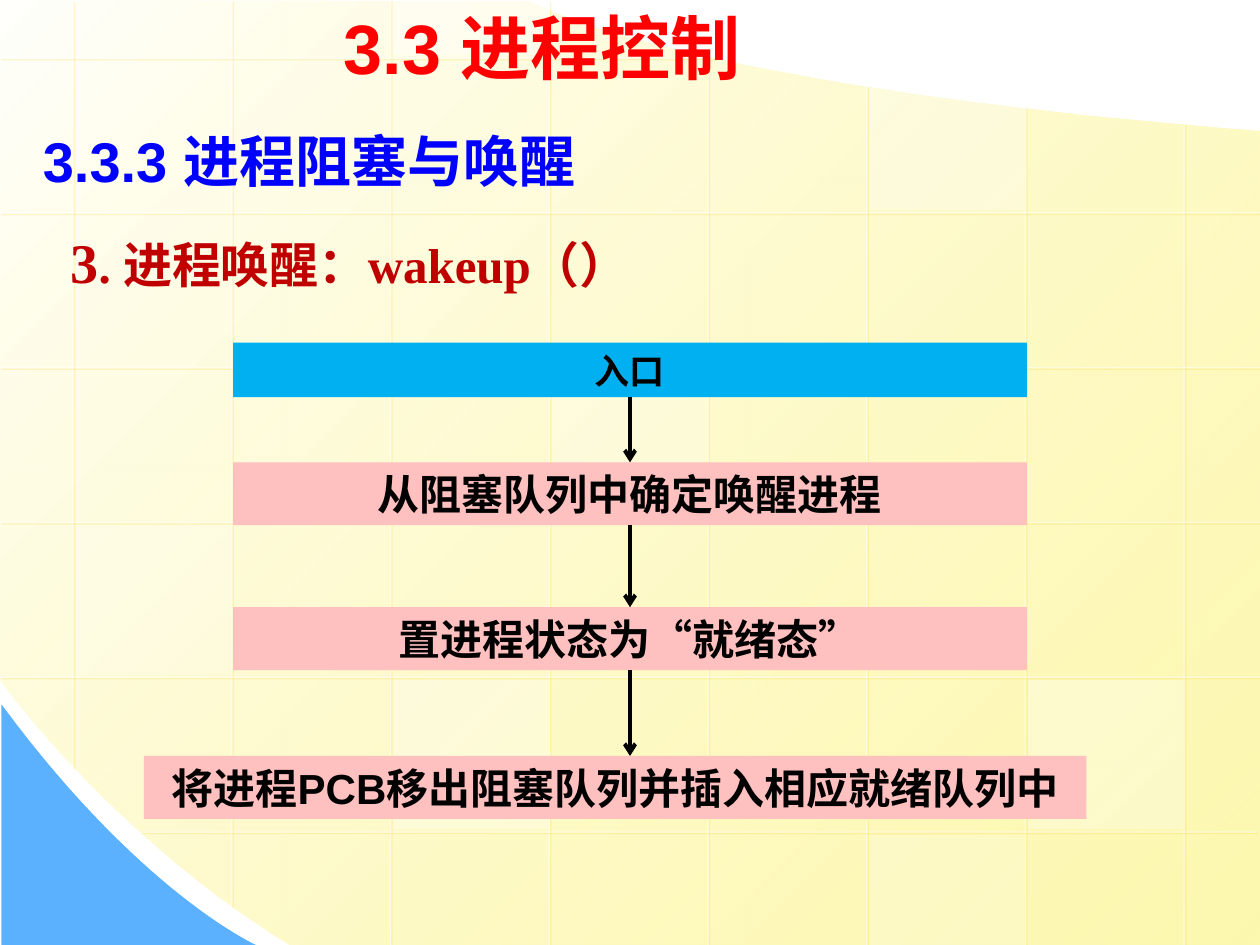
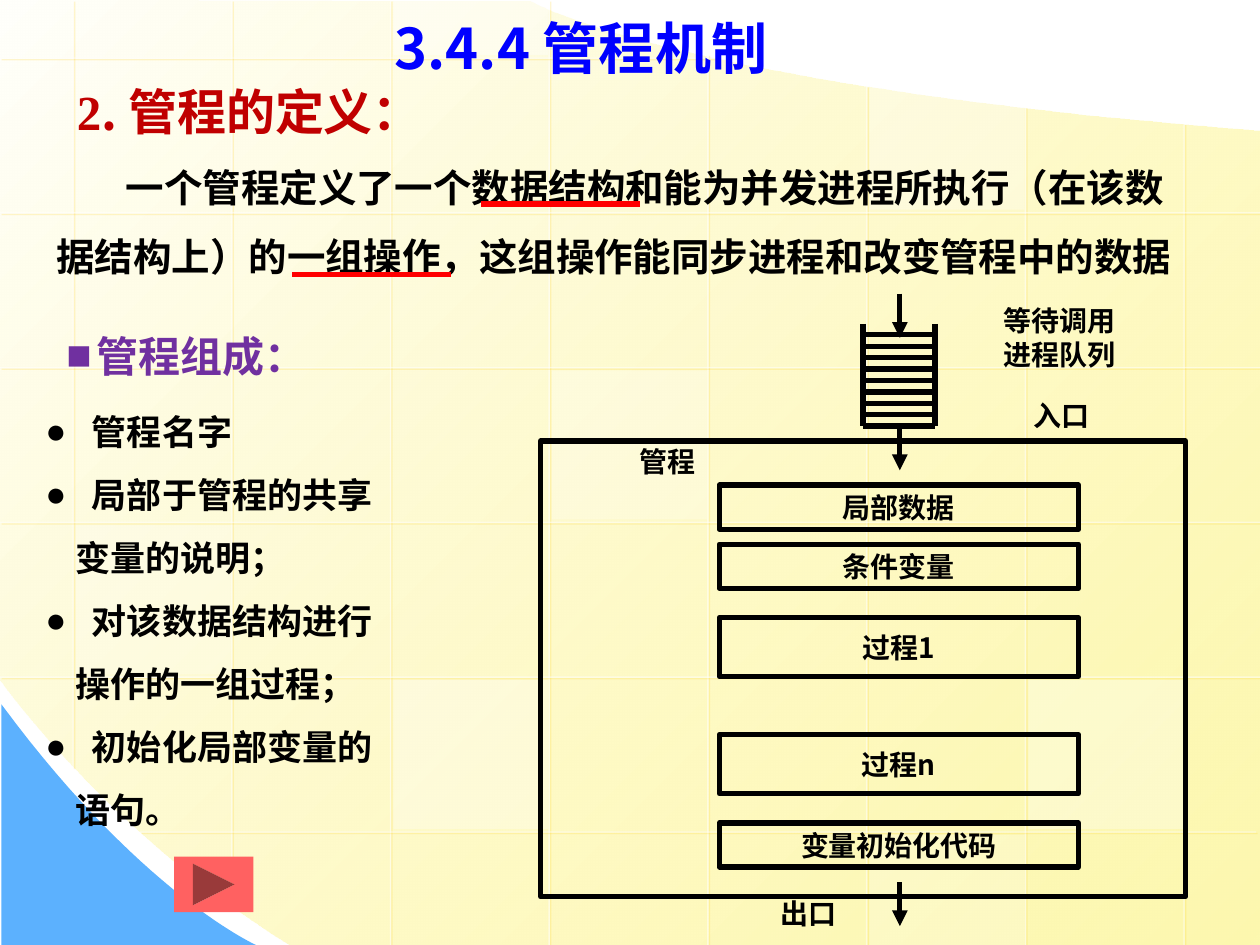
import pptx
import pptx.dml.color
import pptx.enum.shapes
import pptx.enum.text
import pptx.oxml.ns
import pptx.util
from lxml import etree

Cm, Pt = pptx.util.Cm, pptx.util.Pt
RGBColor = pptx.dml.color.RGBColor
SHAPE = pptx.enum.shapes.MSO_SHAPE
STRAIGHT = pptx.enum.shapes.MSO_CONNECTOR.STRAIGHT
ALIGN = pptx.enum.text.PP_ALIGN
ANCHOR = pptx.enum.text.MSO_ANCHOR
qn = pptx.oxml.ns.qn

WHITE = RGBColor(0xFF, 0xFF, 0xFF)
BLACK = RGBColor(0, 0, 0)
RED = RGBColor(0xFF, 0, 0)
BLUE = RGBColor(0, 0, 0xFF)
DARK_RED = RGBColor(0xC0, 0, 0)
PURPLE = RGBColor(0x70, 0x30, 0xA0)
CYAN = RGBColor(0, 0xB0, 0xF0)
PINK = RGBColor(0xFF, 0xC0, 0xC0)
CORAL = RGBColor(0xFF, 0x61, 0x61)
SKY = RGBColor(0x5C, 0xB1, 0xFE)
IVORY = RGBColor(0xFF, 0xFF, 0xFB)
YELLOW = RGBColor(0xFD, 0xF5, 0x8D)
GOLD = RGBColor(0xFF, 0xCC, 0)

ARIAL, TIMES, NOTO = "Arial", "Times New Roman", "Noto Sans CJK SC"
WIDTH, HEIGHT = 25.4, 19.05


def sub(parent, tag, **attrs):
    el = etree.SubElement(parent, qn(tag))
    for name, value in attrs.items():
        el.set(name, str(value))
    return el


def fade(el, percent):
    sub(list(el.iter(qn("a:srgbClr")))[-1], "a:alpha", val=percent * 1000)


def bezier(p0, p1, p2, p3, steps=30):
    for i in range(1, steps + 1):
        t = i / steps
        u = 1 - t
        yield tuple(u**3 * a + 3 * u * u * t * b + 3 * u * t * t * c + t**3 * d
                    for a, b, c, d in zip(p0, p1, p2, p3))


def write(tf, text, size=16, color=BLACK, font=NOTO, align=ALIGN.LEFT, spacing=1.0,
          margin=0, indent=0, bullet=None, join=False):
    p = tf.paragraphs[-1]
    if not join:
        if p.runs:
            p = tf.add_paragraph()
        p.alignment = align
        p.line_spacing = spacing
        p.space_before = Pt(0)
        pPr = p._p.get_or_add_pPr()
        pPr.set("marL", str(Cm(margin)))
        pPr.set("indent", str(Cm(indent)))
        if bullet:
            sub(pPr, "a:buFont", typeface=ARIAL)
            sub(pPr, "a:buChar", char=bullet)
        else:
            sub(pPr, "a:buNone")
    r = p.add_run()
    r.text = text
    r.font.size = Pt(size)
    r.font.bold = True
    r.font.color.rgb = color
    r.font.name = font
    sub(r.font._element, "a:ea", typeface=NOTO)


class Deck:
    def __init__(self):
        self.prs = pptx.Presentation()
        self.prs.slide_width, self.prs.slide_height = Cm(WIDTH), Cm(HEIGHT)
        self.s = None

    def new_slide(self):
        self.s = self.prs.slides.add_slide(self.prs.slide_layouts[1])

    def place(self, sp, x, y, w, h, anchor=ANCHOR.TOP):
        sp.left, sp.top, sp.width, sp.height = Cm(x), Cm(y), Cm(w), Cm(h)
        tf = sp.text_frame
        tf.word_wrap = True
        tf.auto_size = pptx.enum.text.MSO_AUTO_SIZE.NONE
        tf.vertical_anchor = anchor
        return tf

    def title(self, text, x, y, w, h, **fmt):
        write(self.place(self.s.shapes.title, x, y, w, h, ANCHOR.MIDDLE), text, **fmt)

    def body(self, x, y, w, h):
        return self.place(self.s.placeholders[1], x, y, w, h)

    def textbox(self, x, y, w, h):
        sp = self.s.shapes.add_textbox(0, 0, Cm(w), Cm(h))
        return self.place(sp, x, y, w, h)

    def label(self, x, y, w, h, *lines):
        tf = self.textbox(x, y, w, h)
        tf.margin_left = tf.margin_right = tf.margin_top = tf.margin_bottom = 0
        for line in lines:
            write(tf, line, align=ALIGN.CENTER)

    def shape(self, x, y, w, h, fill=None, border=None, text=None, kind=SHAPE.RECTANGLE, **fmt):
        sp = self.s.shapes.add_shape(kind, Cm(x), Cm(y), Cm(w), Cm(h))
        sp.shadow.inherit = False
        if fill is None:
            sp.fill.background()
        else:
            sp.fill.solid()
            sp.fill.fore_color.rgb = fill
        if border is None:
            sp.line.fill.background()
        else:
            sp.line.color.rgb = border
            sp.line.width = Pt(3)
        if text:
            tf = self.place(sp, x, y, w, h, ANCHOR.MIDDLE)
            tf.margin_top = tf.margin_bottom = 0
            write(tf, text, align=ALIGN.CENTER, **fmt)
        return sp

    def outline(self, points):
        (x, y), *rest = points
        fb = self.s.shapes.build_freeform(Cm(x), Cm(y), scale=1.0)
        fb.add_line_segments([(Cm(px), Cm(py)) for px, py in rest], close=True)
        sp = fb.convert_to_shape()
        sp.shadow.inherit = False
        sp.line.fill.background()
        return sp

    def line(self, x1, y1, x2, y2, color=BLACK, width=3, head=None, glow=False):
        cx = self.s.shapes.add_connector(STRAIGHT, Cm(x1), Cm(y1), Cm(x2), Cm(y2))
        cx.line.color.rgb = color
        cx.line.width = Pt(width)
        spPr = cx._element.spPr
        ln = spPr.find(qn("a:ln"))
        if head:
            sub(ln, "a:tailEnd", type=head)
        effects = sub(spPr, "a:effectLst")
        if glow:
            fade(ln, 50)
            shadow = sub(effects, "a:outerShdw", dist=Pt(1.4), dir=45 * 60000)
            sub(shadow, "a:srgbClr", val=GOLD)
            fade(shadow, 34)
        return cx

    def backdrop(self):
        paper = self.outline([
            (WIDTH, 2.64), (WIDTH, HEIGHT), (5.84, HEIGHT),
            *bezier((5.84, HEIGHT), (2.18, 16.79), (0, 13.69), (0, 13.69)),
            (0, 0), (10.69, 0.03),
            *bezier((10.69, 0.03), (10.69, 0.03), (13.64, 1.75), (WIDTH, 2.64))])
        paper.fill.gradient()
        paper.fill.gradient_angle = 315
        for stop, color in zip(paper.fill.gradient_stops, (IVORY, YELLOW)):
            stop.color.rgb = color
        fade(paper._element, 70)

        corner = self.outline([
            (0.03, 14.2), (0.03, HEIGHT), (5.16, HEIGHT),
            *bezier((5.16, HEIGHT), (5.16, HEIGHT), (2.84, 18.01), (0.03, 14.2))])
        corner.fill.solid()
        corner.fill.fore_color.rgb = SKY

        left, top, col_step, row_step = 1.47, 1.17, 3.2, 3.12
        columns = [(0, 15.47), (0, 18.26), (0, HEIGHT), (0, HEIGHT), (1.09, HEIGHT),
                   (1.73, HEIGHT), (2.16, HEIGHT), (2.49, HEIGHT)]
        for i, (y1, y2) in enumerate(columns):
            x = left + i * col_step
            self.line(x, y1, x, y2, WHITE, 0.75, glow=True)
        rows = [(0, 14.43)] + [(0, WIDTH)] * 4 + [(2.82, 25.32)]
        for i, (x1, x2) in enumerate(rows):
            y = top + i * row_step
            self.line(x2, y, x1, y, WHITE, 0.75, glow=True)
        for col, row, opacity in [(3, 2, 25), (6, 4, 30), (0, 3, 20), (5, 5, 20),
                                  (2, -1, 40), (2, 4, 30), (5, 0, 30)]:
            y = top + row * row_step + 0.06
            y1, y2 = max(0, y), min(y + 3, HEIGHT)
            pane = self.shape(left + col * col_step + 0.06, y1, 3.12, y2 - y1, WHITE)
            fade(pane._element.spPr, opacity)

        tree = self.prs.slide_master.shapes.element
        drawn = [sp for sp in self.s.shapes if not sp.is_placeholder]
        for number, sp in enumerate(drawn, 100):
            sp._element.xpath(".//p:cNvPr")[0].set("id", str(number))
            tree.append(sp._element)


def wakeup_slide(deck):
    deck.title("3.3 进程控制", 6.68, -0.08, 12.83, 2.03, size=40, color=RED, font=ARIAL)
    tf = deck.body(0.61, 1.75, 13.28, 4.34)
    write(tf, "3.3.3 ", size=32, color=BLUE, font=ARIAL, spacing=1.5)
    write(tf, "进程阻塞与唤醒", size=32, color=BLUE, font=TIMES, join=True)
    write(tf, "3", size=32, color=DARK_RED, font=TIMES, spacing=1.5, margin=0.56)
    write(tf, ". 进程唤醒：wakeup", size=28, color=DARK_RED, font=TIMES, join=True)
    write(tf, "（）", size=28, color=DARK_RED, font=ARIAL, join=True)

    entry = deck.shape(4.7, 6.91, 16, 1.1, CYAN, text="入口", size=20, font=ARIAL)
    steps = [deck.shape(x, y, w, 1.27, PINK, text=text, size=24, font=ARIAL)
             for x, y, w, text in [(4.7, 9.32, 16, "从阻塞队列中确定唤醒进程"),
                                   (4.7, 12.24, 16, "置进程状态为“就绪态”"),
                                   (2.9, 15.24, 19, "将进程PCB移出阻塞队列并插入相应就绪队列中")]]
    pick, ready, enqueue = steps
    for start, end in [(entry, pick), (pick, ready), (ready, enqueue)]:
        cx = deck.line(12.7, start.top.cm, 12.7, end.top.cm, width=2.25, head="arrow")
        cx.begin_connect(start, 2)
        if end is not enqueue:
            cx.end_connect(end, 0)


def monitor_slide(deck):
    deck.title("3.4.4 管程机制", 7.7, 0.13, 11.81, 1.63, size=32, color=BLUE)
    write(deck.textbox(0.89, 2.72, 23.22, 3.07),
          "一个管程定义了一个数据结构和能为并发进程所执行（在该数据结构上）的一组操作，"
          "这组操作能同步进程和改变管程中的数据",
          size=22, font=TIMES, spacing=1.5, indent=1.4)
    tf = deck.textbox(1.3, 1.52, 8.99, 1.45)
    write(tf, "2", size=28, color=DARK_RED, font=TIMES)
    write(tf, ". 管程的定义：", size=28, color=DARK_RED, join=True)
    write(deck.textbox(1.09, 6.53, 7.59, 1.27), "管程组成：", size=24, color=PURPLE,
          font=ARIAL, margin=0.6, indent=-0.6, bullet="■")

    tf = deck.body(0, 7.72, 9.91, 9.25)
    for first, *more in [("管程名字",), ("局部于管程的共享", "变量的说明；"),
                         ("对该数据结构进行", "操作的一组过程；"),
                         ("初始化局部变量的", "语句。")]:
        write(tf, first, size=20, font=TIMES, spacing=1.5, margin=1.6, indent=-0.94, bullet="●")
        for text in more:
            write(tf, text, size=20, font=TIMES, spacing=1.5, margin=1.27)

    deck.shape(10.9, 8.89, 13, 9.19, border=BLACK)
    for y, h, text in [(9.78, 0.89, "局部数据"), (10.97, 0.89, "条件变量"),
                       (12.45, 1.19, "过程1"), (14.81, 1.19, "过程n"),
                       (16.59, 0.89, "变量初始化代码")]:
        deck.shape(14.5, y, 7.24, h, border=BLACK, text=text)
    deck.label(14.45, 18.08, 3.68, 0.76, "出口")
    deck.label(11.61, 8.97, 3.68, 0.81, "管程")
    deck.label(19.56, 8.03, 3.68, 0.86, "入口")
    deck.label(19.56, 6.12, 3.61, 1.57, "等待调用", "进程队列")

    left, right, bottom = 17.4, 18.85, 8.59
    for x in (left, right):
        deck.line(x, 6.53, x, bottom)
    for i in range(9):
        y = bottom - i * 0.23
        deck.line(left, y, right, y)
    for y in (5.92, bottom, 17.78):
        deck.line(18.14, y, 18.14, y + 0.89, head="triangle")

    deck.shape(3.51, 17.27, 1.6, 1.12, CORAL, kind=SHAPE.ACTION_BUTTON_FORWARD_OR_NEXT)
    for x, y in [(9.7, 4.11), (5.89, 5.54)]:
        deck.line(x, y, x + 3.2, y, RED)


def main():
    deck = Deck()
    deck.new_slide()
    deck.backdrop()
    wakeup_slide(deck)
    deck.new_slide()
    monitor_slide(deck)
    deck.prs.save("out.pptx")


if __name__ == "__main__":
    main()
